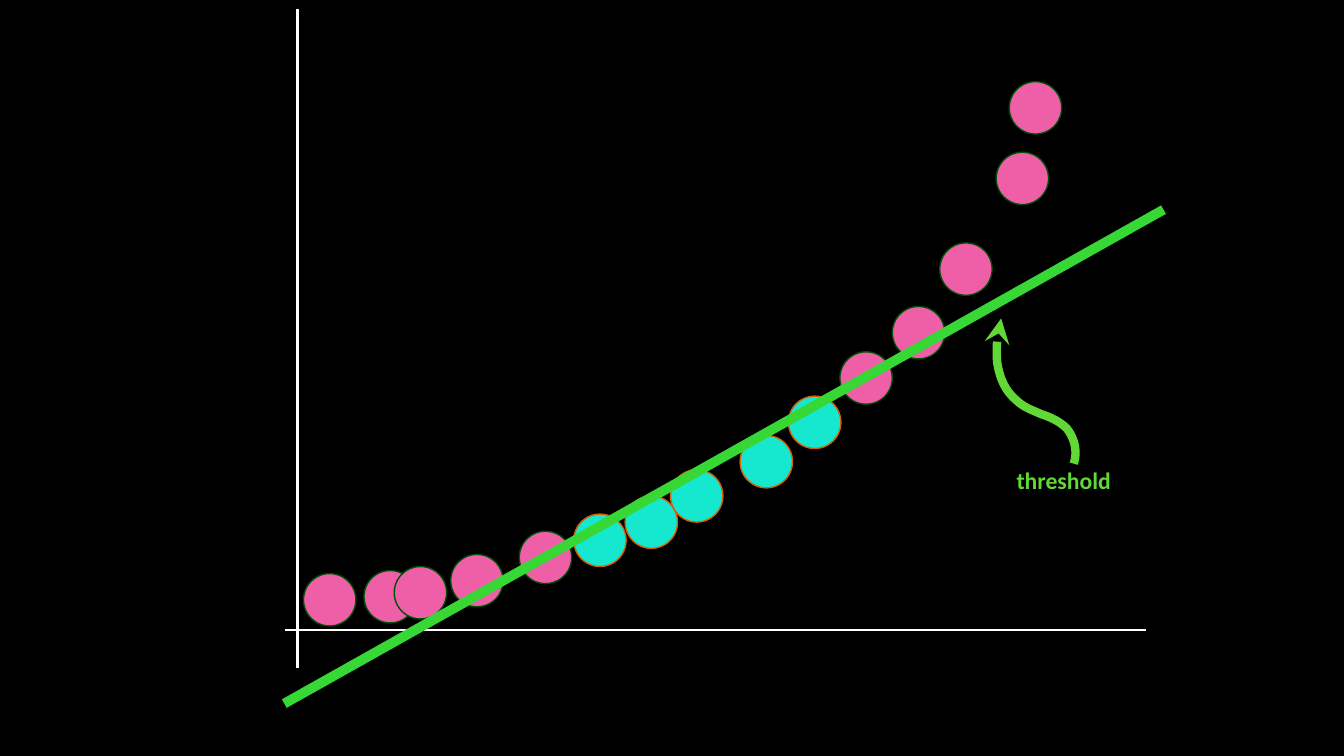
"""Build a slide of two-coloured points along a curve, cut by a threshold line."""
from dataclasses import dataclass

from lxml.etree import SubElement
from pptx import Presentation
from pptx.dml.color import RGBColor as Rgb
from pptx.enum.shapes import MSO_CONNECTOR as Connector, MSO_SHAPE as Shape
from pptx.enum.text import MSO_ANCHOR as Anchor, MSO_AUTO_SIZE as AutoSize, PP_ALIGN as Align
from pptx.oxml.ns import qn
from pptx.util import Inches, Pt


@dataclass(frozen=True)
class Theme:
    background: Rgb = Rgb.from_string("000000")
    axis: Rgb = Rgb.from_string("FFFFFF")
    teal: Rgb = Rgb.from_string("16E7CF")
    teal_edge: Rgb = Rgb.from_string("D75F00")
    pink: Rgb = Rgb.from_string("EF5FA8")
    pink_edge: Rgb = Rgb.from_string("004E05")
    threshold: Rgb = Rgb.from_string("37D836")
    label: Rgb = Rgb.from_string("61D836")
    font: str = "Calibri"
    label_size: Pt = Pt(16.9)


theme = Theme()
deck = Presentation()
deck.slide_width, deck.slide_height = Inches(13.33), Inches(7.5)
page = deck.slides.add_slide(deck.slide_layouts[6])
page.background.fill.solid()
page.background.fill.fore_color.rgb = theme.background


def add_line(start, end, color, width):
    """Draw a straight line without a shadow."""
    line = page.shapes.add_connector(Connector.STRAIGHT, *map(Inches, start + end))
    line.line.color.rgb = color
    line.line.width = Pt(width)
    SubElement(line._element.spPr, qn("a:effectLst"))


add_line((2.95, 6.63), (2.95, 0.09), theme.axis, 2)
add_line((2.83, 6.25), (11.37, 6.25), theme.axis, 2)

diameter = Inches(0.52)
teal_points = [(5.69, 5.1), (6.2, 4.92), (6.65, 4.66), (7.34, 4.32), (7.82, 3.93)]
pink_points = [
    (8.33, 3.49), (8.85, 3.04), (9.32, 2.41), (9.88, 1.51), (10.01, 0.81),
    (3.61, 5.66), (3.91, 5.62), (4.47, 5.5), (5.15, 5.27), (3.01, 5.69),
]
for points, fill, edge in (
    (teal_points, theme.teal, theme.teal_edge),
    (pink_points, theme.pink, theme.pink_edge),
):
    for left, top in points:
        dot = page.shapes.add_shape(Shape.OVAL, Inches(left), Inches(top), diameter, diameter)
        dot.shadow.inherit = False
        dot.fill.solid()
        dot.fill.fore_color.rgb = fill
        dot.line.color.rgb = edge
        dot.line.width = Pt(1)

add_line((2.82, 6.98), (11.54, 2.08), theme.threshold, 7)

box = page.shapes.add_textbox(Inches(10.04), Inches(4.58), Inches(1.02), Inches(0.36))
frame = box.text_frame
frame.word_wrap = False
frame.auto_size = AutoSize.SHAPE_TO_FIT_TEXT
frame.vertical_anchor = Anchor.MIDDLE
frame.margin_left = frame.margin_right = frame.margin_top = frame.margin_bottom = Inches(0.04)
para = frame.paragraphs[0]
para.text = "threshold"
para.alignment = Align.CENTER
para.font.name = theme.font
para.font.size = theme.label_size
para.font.bold = True
para.font.color.rgb = theme.label

arrow_start = (10.65, 4.6)
arrow_curves = [
    ((10.69, 4.48), (10.66, 4.35), (10.58, 4.25)),
    ((10.51, 4.18), (10.42, 4.14), (10.33, 4.11)),
    ((10.24, 4.07), (10.15, 4.04), (10.08, 3.97)),
    ((9.96, 3.87), (9.91, 3.73), (9.89, 3.59)),
    ((9.88, 3.45), (9.89, 3.3), (9.93, 3.16)),
]
steps = 12
vertices = []
anchor = arrow_start
for first, second, end in arrow_curves:
    for step in range(1, steps + 1):
        t = step / steps
        weights = ((1 - t) ** 3, 3 * t * (1 - t) ** 2, 3 * t ** 2 * (1 - t), t ** 3)
        controls = (anchor, first, second, end)
        vertices.append(tuple(
            Inches(sum(weight * point[axis] for weight, point in zip(weights, controls)))
            for axis in (0, 1)
        ))
    anchor = end

builder = page.shapes.build_freeform(*map(Inches, arrow_start))
builder.add_line_segments(vertices, close=False)
arrow = builder.convert_to_shape()
arrow.shadow.inherit = False
arrow.fill.background()
arrow.line.color.rgb = theme.label
arrow.line.width = Pt(6)
SubElement(arrow.line._get_or_add_ln(), qn("a:tailEnd"), type="stealth")

deck.save("out.pptx")
